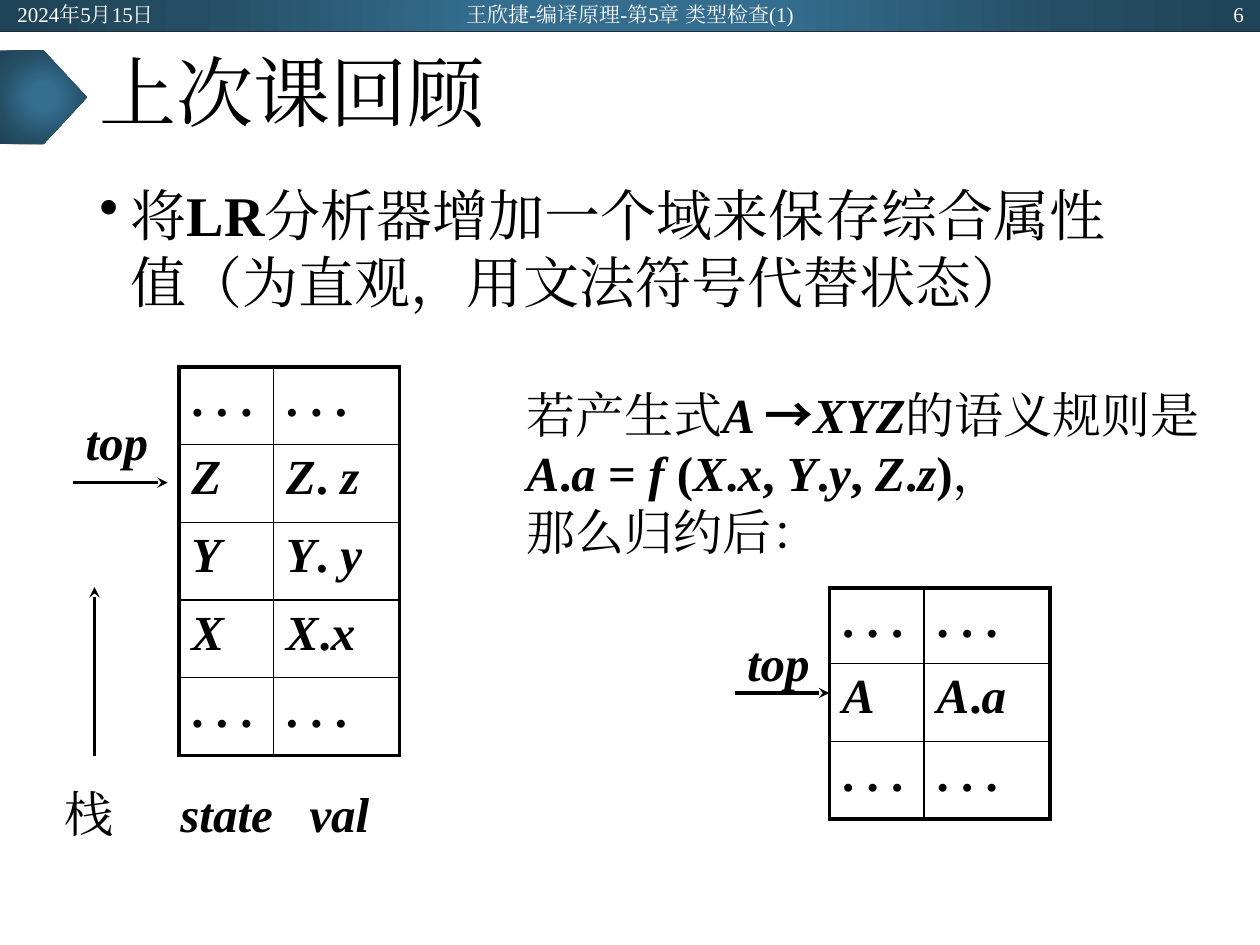
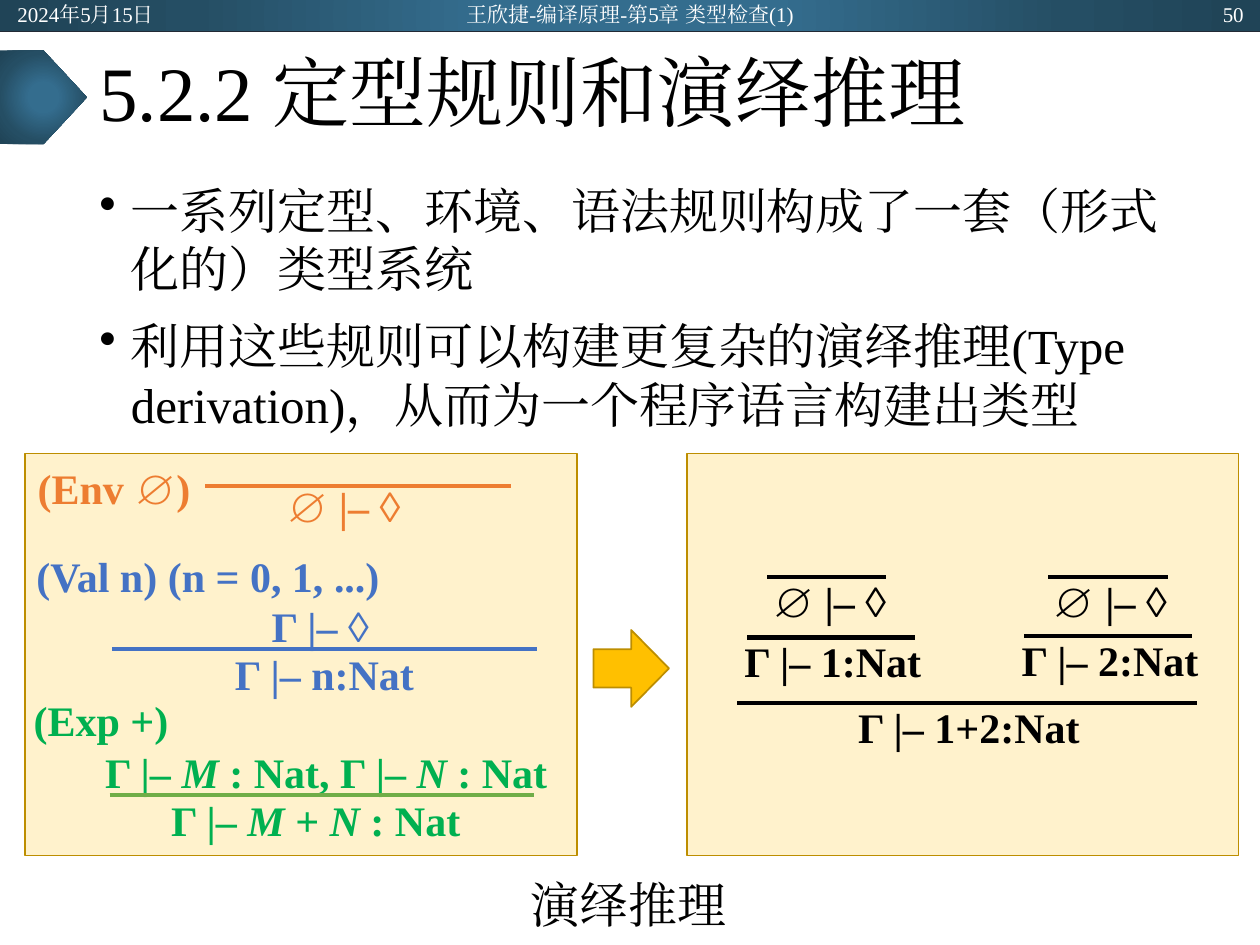
from lxml import etree
from pptx import Presentation
from pptx.dml.color import RGBColor
from pptx.enum.shapes import MSO_CONNECTOR, MSO_SHAPE
from pptx.enum.text import MSO_ANCHOR, PP_ALIGN
from pptx.oxml import parse_xml
from pptx.oxml.ns import qn
from pptx.util import Pt

BLACK = RGBColor(0x00, 0x00, 0x00)
WHITE = RGBColor(0xFF, 0xFF, 0xFF)
NAVY = RGBColor(0x22, 0x2A, 0x35)
CREAM = RGBColor(0xFF, 0xF2, 0xCC)
GOLD = RGBColor(0xFF, 0xC0, 0x00)
BROWN = RGBColor(0xBD, 0x8E, 0x00)
ORANGE = RGBColor(0xED, 0x7D, 0x31)
BLUE = RGBColor(0x44, 0x72, 0xC4)
GREEN = RGBColor(0x00, 0xB0, 0x50)
LEAF = RGBColor(0x70, 0xAD, 0x47)
TEAL = [(0, "346D8E"), (23, "346D8E"), (69, "254E64"), (97, "204457")]

LEFT, MID, RIGHT = PP_ALIGN.LEFT, PP_ALIGN.CENTER, PP_ALIGN.RIGHT
TOP, CENTER = MSO_ANCHOR.TOP, MSO_ANCHOR.MIDDLE
STRAIGHT = MSO_CONNECTOR.STRAIGHT
RECT, PLATE, ARROW = MSO_SHAPE.RECTANGLE, MSO_SHAPE.PENTAGON, MSO_SHAPE.RIGHT_ARROW
TIMES, NOTO = "Times New Roman", "Noto Sans CJK SC"
NS = "http://schemas.openxmlformats.org/drawingml/2006/main"


def write(frame, texts, size, color=BLACK, align=LEFT, anchor=TOP, han=TIMES,
          bullet=False, lead=None):
    # In the text, * switches bold and _ switches italic.
    frame.word_wrap = True
    frame.vertical_anchor = anchor
    for row, text in enumerate(texts):
        para = frame.add_paragraph() if row else frame.paragraphs[0]
        para.alignment = align
        para.line_spacing = lead
        if bullet:
            props = para._p.get_or_add_pPr()
            props.set("marL", str(Pt(18)))
            props.set("indent", str(Pt(-18)))
            etree.SubElement(props, qn("a:buChar")).set("char", "•")
            if row:
                para.space_before = Pt(10)
        for i, part in enumerate(text.split("*")):
            for j, piece in enumerate(part.split("_")):
                if not piece:
                    continue
                run = para.add_run()
                run.text = piece
                face = NOTO if piece == "→" else han if piece[0] >= "一" else TIMES
                look = {"name": face, "size": Pt(size), "bold": i % 2 == 1,
                        "italic": j % 2 == 1}
                for key, value in look.items():
                    setattr(run.font, key, value)
                run.font.color.rgb = color
                east = etree.SubElement(run._r.get_or_add_rPr(), qn("a:ea"))
                east.set("typeface", TIMES)


def rule(slide, x1, y1, x2, y2, color, width, tip=False):
    line = slide.shapes.add_connector(STRAIGHT, Pt(x1), Pt(y1), Pt(x2), Pt(y2))
    line.line.color.rgb = color
    line.line.width = Pt(width)
    if tip:
        etree.SubElement(line.line._get_or_add_ln(), qn("a:tailEnd")).set("type", "stealth")
    etree.SubElement(line._element.spPr, qn("a:effectLst"))


deck = Presentation()
deck.slide_width, deck.slide_height = Pt(720), Pt(540)
stops = "".join(f'<a:gs pos="{pos * 1000}"><a:srgbClr val="{tint}"/></a:gs>'
                for pos, tint in TEAL)
glow = (f'<a:gradFill xmlns:a="{NS}" rotWithShape="1"><a:gsLst>{stops}</a:gsLst>'
        '<a:path path="circle"><a:fillToRect l="50000" t="50000" r="50000" b="50000"/>'
        '</a:path></a:gradFill>')

pages = [
    ("6", "上次课回顾", 32,
     ["将*LR*分析器增加一个域来保存综合属性值（为直观，用文法符号代替状态）"]),
    ("50", "5.2.2 定型规则和演绎推理", 28,
     ["一系列定型、环境、语法规则构成了一套（形式化的）类型系统",
      "利用这些规则可以构建更复杂的演绎推理**(Type derivation)，从而为一个程序语言构建出类型"]),
]
for num, title, size, points in pages:
    slide = deck.slides.add_slide(deck.slide_layouts[6])
    for kind, x, y, w, h in [(RECT, 0, 0, 720, 18), (PLATE, 0, 28.8, 49.7, 53.6)]:
        band = slide.shapes.add_shape(kind, Pt(x), Pt(y), Pt(w), Pt(h))
        band.shadow.inherit = False
        band.line.fill.background()
        band._element.spPr.insert(2, parse_xml(glow))
    rule(slide, 0, 18, 720, 18, NAVY, 0.5)
    box = slide.shapes.add_textbox(Pt(49.7), Pt(18), Pt(620.6), Pt(74.9))
    write(box.text_frame, [title], 44, anchor=CENTER, lead=0.9)
    box = slide.shapes.add_textbox(Pt(49.7), Pt(99.4), Pt(620.6), Pt(216))
    write(box.text_frame, points, size, han=NOTO, bullet=True)
    for x, w, text, align in [(2.9, 162, "2024年5月15日", LEFT),
                              (238.5, 243, "王欣捷-编译原理-第5章 类型检查(1)", MID),
                              (555.8, 162, num, RIGHT)]:
        box = slide.shapes.add_textbox(Pt(x), Pt(0.7), Pt(w), Pt(14.4))
        write(box.text_frame, [text], 12, WHITE, align, CENTER)

stack, proof = deck.slides

dots = "*. . .*"
grids = [
    (102.2, 209.7, 44.4, [(dots, dots), ("*_Z_*", "*_Z_. _z_*"), ("*_Y_*", "*_Y_. _y_*"),
                          ("*_X_*", "*_X_._x_*"), (dots, dots)]),
    (474, 336, 43.2, [(dots, dots), ("*_A_*", "*_A_._a_*"), (dots, dots)]),
]
for x, y, first, rows in grids:
    last = len(rows) - 1
    high = first + 44.4 * last
    grid = stack.shapes.add_table(len(rows), 2, Pt(x), Pt(y), Pt(126), Pt(high)).table
    grid.first_row = grid.horz_banding = False
    for col, w in enumerate((54, 72)):
        grid.columns[col].width = Pt(w)
    for r, row in enumerate(rows):
        grid.rows[r].height = Pt(44.4 if r else first)
        for c, text in enumerate(row):
            cell = grid.cell(r, c)
            props = cell._tc.get_or_add_tcPr()
            edges = {"lnL": c == 0, "lnR": c == 1, "lnT": r == 0, "lnB": r == last}
            for tag, outer in edges.items():
                edge = etree.SubElement(props, qn("a:" + tag))
                edge.set("w", str(Pt(2.25 if outer else 1)))
                fill = etree.SubElement(edge, qn("a:solidFill"))
                etree.SubElement(fill, qn("a:srgbClr")).set("val", str(BLACK))
            cell.fill.background()
            write(cell.text_frame, [text], 28)

for x, y, w, h, texts in [
    (30, 443.5, 50, 41.8, ["栈"]),
    (96, 443.5, 70, 41.8, ["*_state_*"]),
    (169.8, 443.5, 60, 41.8, ["*_val_*"]),
    (41.8, 234, 54, 36, ["*_top_*"]),
    (419.8, 360, 54, 36, ["*_top_*"]),
]:
    box = stack.shapes.add_textbox(Pt(x), Pt(y), Pt(w), Pt(h))
    write(box.text_frame, texts, 28, anchor=CENTER)
box = stack.shapes.add_textbox(Pt(293.8), Pt(216), Pt(420), Pt(108))
write(box.text_frame,
      ["若产生式*_A _→_XYZ_*的语义规则是",
       "*_A_._a_ = _f _(_X_._x_, _Y_._y_, _Z_._z_)*，",
       "那么归约后："], 28, han=NOTO)
for ends in [(41.8, 275.8, 95.8, 275.8), (54, 432, 54, 335.5), (419.8, 396, 473.8, 396)]:
    rule(stack, *ends, BLACK, 2, True)

for kind, x, y, w, h, color in [(RECT, 14.4, 259.2, 315.4, 229.7, CREAM),
                                (ARROW, 339.1, 360, 43.2, 43.9, GOLD),
                                (RECT, 392.4, 259.2, 315.4, 229.7, CREAM)]:
    panel = proof.shapes.add_shape(kind, Pt(x), Pt(y), Pt(w), Pt(h))
    panel.shadow.inherit = False
    panel.fill.solid()
    panel.fill.fore_color.rgb = color
    panel.line.color.rgb = BROWN
    panel.line.width = Pt(1)

for x, y, text, color in [(14.4, 260.6, "*(Env ∅)*", ORANGE),
                          (13.7, 311, "*(Val n) (n = 0, 1, ...)*", BLUE),
                          (12.2, 393.4, "*(Exp +)*", GREEN)]:
    box = proof.shapes.add_textbox(Pt(x), Pt(y), Pt(250), Pt(36))
    write(box.text_frame, [text], 24, color)

for mid, y, text, color in [
    (196.2, 275.4, "*∅ |– ◊*", ORANGE),
    (183, 343.6, "*Γ |– ◊*", BLUE),
    (185.4, 371.2, "*Γ |– n:Nat*", BLUE),
    (186.4, 427.1, "*Γ |– _M_ : Nat, Γ |– _N_ : Nat*", GREEN),
    (180.4, 454.7, "*Γ |– _M _+ _N_ : Nat*", GREEN),
    (473.8, 329.4, "*∅ |– ◊*", BLACK),
    (634.3, 329.4, "*∅ |– ◊*", BLACK),
    (475.9, 364, "*Γ |– 1:Nat*", BLACK),
    (634.3, 363.2, "*Γ |– 2:Nat*", BLACK),
    (553.7, 401.4, "*Γ |– 1+2:Nat*", BLACK),
]:
    box = proof.shapes.add_textbox(Pt(mid - 140), Pt(y), Pt(280), Pt(27.6))
    write(box.text_frame, [text], 24, color, MID, CENTER)

for x1, x2, y, color in [
    (117.4, 292.3, 277.9, ORANGE), (64.1, 306.7, 370.8, BLUE), (62.6, 305.3, 454.3, LEAF),
    (438.5, 506.2, 329.8, BLACK), (599, 667.4, 329.8, BLACK),
    (427, 522.7, 364.3, BLACK), (585.4, 681.1, 363.6, BLACK), (421.2, 684, 401.8, BLACK),
]:
    rule(proof, x1, y, x2, y, color, 2.5)

box = proof.shapes.add_textbox(Pt(295.9), Pt(496.1), Pt(131), Pt(41))
write(box.text_frame, ["演绎推理"], 28, han=NOTO)

deck.save("out.pptx")
